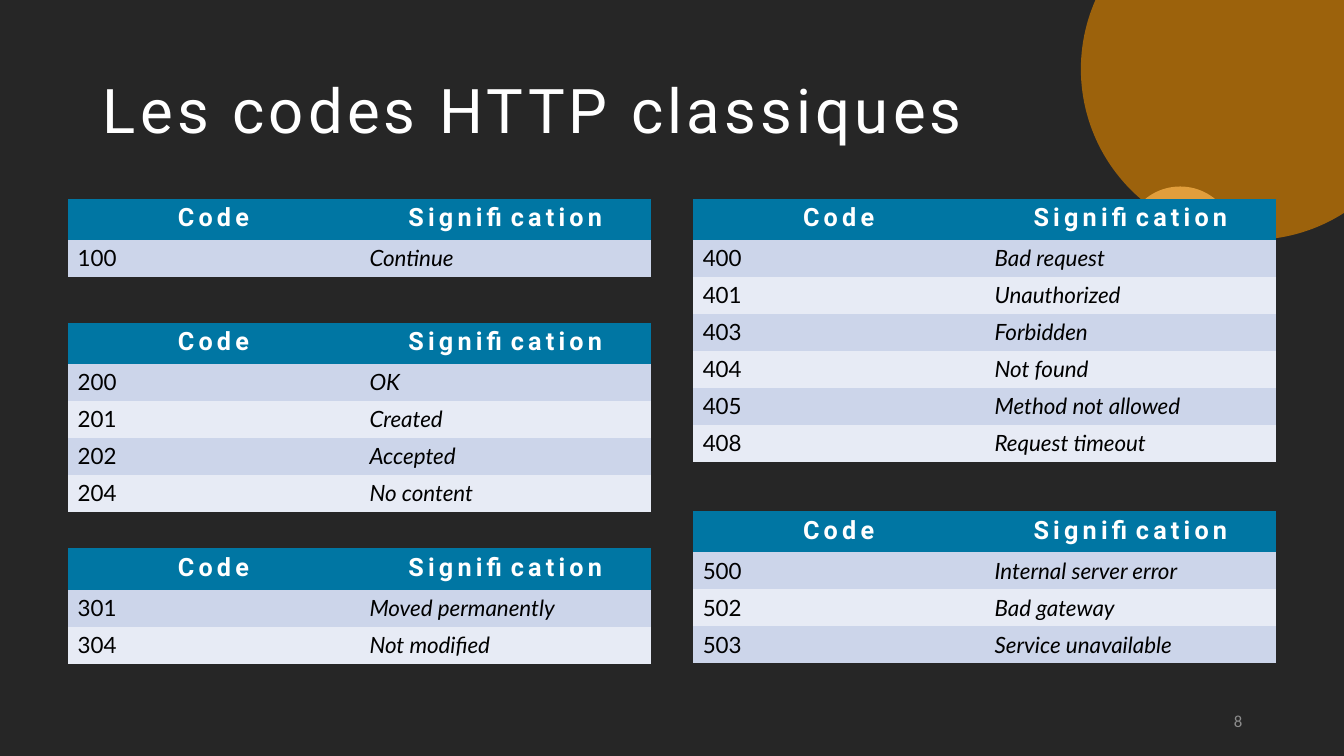
from pptx import Presentation
from pptx.dml.color import RGBColor
from pptx.enum import shapes, text
from pptx.oxml.ns import qn
from pptx.util import Inches, Pt
from lxml import etree

HEADINGS = ("Code", "Signification")
HEADER_FILL = "0076A3"
BAND_FILLS = ("CCD5EA", "E7EBF5")
LEFT_COLUMN, RIGHT_COLUMN = 0.67, 6.87
TABLE_WIDTH = 5.79
HEADER_HEIGHT, ROW_HEIGHT = 0.41, 0.36

# Left, top and rows of each family of codes
CODE_FAMILIES = [
    (LEFT_COLUMN, 1.97, [("100", "Continue")]),
    (RIGHT_COLUMN, 1.97, [
        ("400", "Bad request"), ("401", "Unauthorized"), ("403", "Forbidden"),
        ("404", "Not found"), ("405", "Method not allowed"),
        ("408", "Request timeout")]),
    (LEFT_COLUMN, 3.2, [
        ("200", "OK"), ("201", "Created"), ("202", "Accepted"),
        ("204", "No content")]),
    (LEFT_COLUMN, 5.44, [
        ("301", "Moved permanently"), ("304", "Not modified")]),
    (RIGHT_COLUMN, 5.07, [
        ("500", "Internal server error"), ("502", "Bad gateway"),
        ("503", "Service unavailable")]),
]


def colour(value):
    return RGBColor.from_string(value)


def format_text(paragraph, font_name, size, value, align=text.PP_ALIGN.LEFT,
                bold=False, italic=False, spacing=0):
    paragraph.alignment = align
    for run in paragraph.runs:
        run.font.name = font_name
        run.font.size = Pt(size)
        run.font.color.rgb = colour(value)
        run.font.bold = bold
        run.font.italic = italic
        run.font._element.set("spc", str(spacing * 100))


def add_plain_shape(slide, kind, left, top, width, height, fill, opacity=100):
    shape = slide.shapes.add_shape(
        kind, Inches(left), Inches(top), Inches(width), Inches(height))
    shape.shadow.inherit = False
    shape.fill.solid()
    shape.fill.fore_color.rgb = colour(fill)
    shape.line.fill.background()
    if opacity < 100:
        rgb = shape.element.spPr.find(qn("a:solidFill"))[0]
        etree.SubElement(rgb, qn("a:alpha")).set("val", str(opacity * 1000))


def place_title(slide, wording):
    title = slide.shapes.title
    title.left, title.top = Inches(0.92), Inches(0.4)
    title.width, title.height = Inches(11.5), Inches(1.45)
    frame = title.text_frame
    frame.text = wording
    frame.word_wrap = True
    frame.auto_size = text.MSO_AUTO_SIZE.NONE
    frame.vertical_anchor = text.MSO_ANCHOR.MIDDLE
    frame.paragraphs[0].line_spacing = 0.9
    format_text(frame.paragraphs[0], "Roboto", 44, "FFFFFF", spacing=3)
    # Bring the title in front of the backdrop
    slide.shapes.element.append(title.element)


def add_page_number(slide, number):
    box = slide.shapes.add_textbox(
        Inches(9.42), Inches(6.95), Inches(3), Inches(0.4))
    frame = box.text_frame
    frame.text = number
    frame.word_wrap = True
    frame.vertical_anchor = text.MSO_ANCHOR.MIDDLE
    format_text(frame.paragraphs[0], "Calibri", 12, "8C8C8C",
                align=text.PP_ALIGN.RIGHT)


def fill_cell(cell, wording, fill, **style):
    cell.fill.solid()
    cell.fill.fore_color.rgb = colour(fill)
    cell.text_frame.text = wording
    format_text(cell.text_frame.paragraphs[0], **style)


def add_code_table(slide, left, top, codes):
    height = HEADER_HEIGHT + ROW_HEIGHT * len(codes)
    table = slide.shapes.add_table(
        len(codes) + 1, len(HEADINGS), Inches(left), Inches(top),
        Inches(TABLE_WIDTH), Inches(height)).table
    # Plain rows without the borders of the default style
    table.first_row = table.horz_banding = False
    table._tbl.tblPr.find(qn("a:tableStyleId")).text = (
        "{2D5ABB26-0587-4C30-8999-92F81FD0307C}")
    for index, row in enumerate(table.rows):
        row.height = Inches(ROW_HEIGHT if index else HEADER_HEIGHT)

    for column, heading in enumerate(HEADINGS):
        fill_cell(table.cell(0, column), heading, HEADER_FILL,
                  font_name="Roboto", size=18, value="FFFFFF", bold=True,
                  align=text.PP_ALIGN.CENTER, spacing=3)
    for index, entry in enumerate(codes):
        for column, wording in enumerate(entry):
            fill_cell(table.cell(index + 1, column), wording,
                      BAND_FILLS[index % 2], font_name="Lato", size=16,
                      value="000000", italic=column == 1)


def main():
    deck = Presentation()
    deck.slide_width, deck.slide_height = Inches(13.33), Inches(7.5)
    slide = deck.slides.add_slide(deck.slide_layouts[5])
    kinds = shapes.MSO_SHAPE

    # Backdrop, title and page number
    add_plain_shape(slide, kinds.RECTANGLE, 0, 0, 13.33, 7.5, "262626")
    place_title(slide, "Les codes HTTP classiques")
    add_page_number(slide, "8")

    # Corner circles
    add_plain_shape(slide, kinds.OVAL, 10.72, -1.01, 3.39, 3.39, "BA7106", 80)
    add_plain_shape(slide, kinds.OVAL, 11.16, 1.85, 1.09, 1.09, "F9B34D", 75)

    # Status code tables
    for left, top, codes in CODE_FAMILIES:
        add_code_table(slide, left, top, codes)

    deck.save("out.pptx")


if __name__ == "__main__":
    main()
